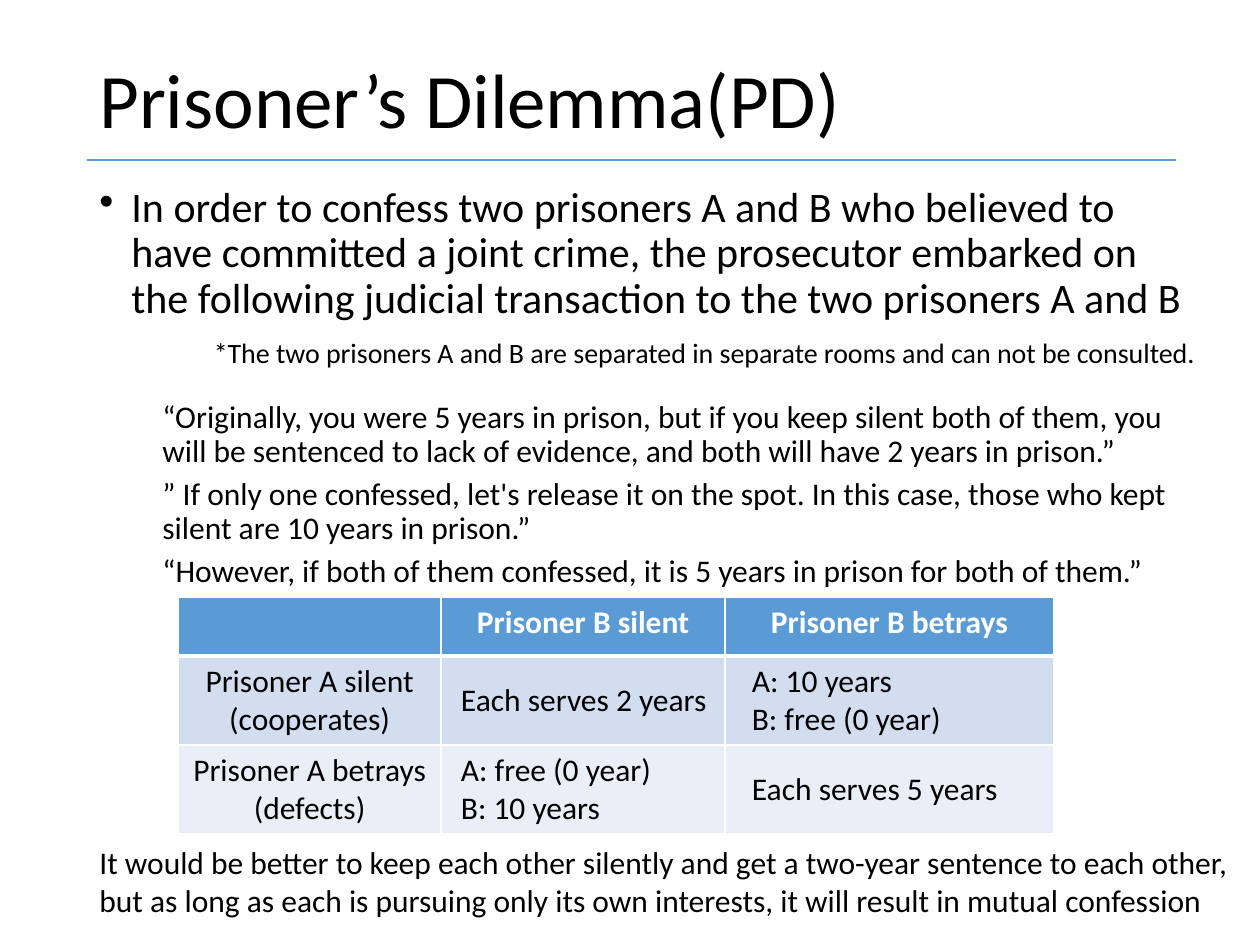
import dataclasses
import typing

import pptx
import pptx.dml.color
import pptx.enum.shapes
import pptx.enum.text
import pptx.oxml
import pptx.oxml.ns
import pptx.util
from lxml import etree

PX = 914400 // 126
ALIGN = pptx.enum.text.PP_ALIGN
ANCHOR = pptx.enum.text.MSO_ANCHOR


@dataclasses.dataclass(frozen=True)
class Theme:
    font: str = "Calibri"
    ink: str = "000000"
    paper: str = "FFFFFF"
    accent: str = "5B9BD5"
    bands: tuple[str, str] = ("D2DEEF", "EAEFF7")
    title: int = 44
    lead: int = 24
    note: int = 16
    text: int = 18


THEME = Theme()


@dataclasses.dataclass(frozen=True)
class Para:
    text: str
    size: int = THEME.text
    color: str = THEME.ink
    bold: bool = False
    align: ALIGN = ALIGN.LEFT
    line: float = 1.0
    before: int = 0
    left: int = 0
    hang: int = 0
    bullet: str = ""


@dataclasses.dataclass(frozen=True)
class Entry:
    lines: tuple[str, ...]
    align: ALIGN = ALIGN.LEFT
    inset: int = 13
    anchor: ANCHOR = ANCHOR.TOP


def px(n: int) -> int:
    return pptx.util.Emu(n * PX)


def rgb(color: str) -> pptx.dml.color.RGBColor:
    return pptx.dml.color.RGBColor.from_string(color)


def write(frame: typing.Any, paras: typing.Iterable[Para]) -> None:
    for i, para in enumerate(paras):
        p = frame.add_paragraph() if i else frame.paragraphs[0]
        p.alignment = para.align
        p.line_spacing = para.line
        p.space_before = pptx.util.Pt(para.before)
        props = p._p.get_or_add_pPr()
        props.set("marL", str(px(para.left)))
        props.set("indent", str(px(-para.hang)))
        if para.bullet:
            bullet = etree.SubElement(props, pptx.oxml.ns.qn("a:buChar"))
            bullet.set("char", para.bullet)
        run = p.add_run()
        run.text = para.text
        run.font.name = THEME.font
        run.font.size = pptx.util.Pt(para.size)
        run.font.bold = para.bold
        run.font.color.rgb = rgb(para.color)


def add_text(slide: typing.Any, box: tuple[int, int, int, int],
             paras: typing.Iterable[Para], anchor: ANCHOR = ANCHOR.TOP) -> None:
    frame = slide.shapes.add_textbox(*map(px, box)).text_frame
    frame.word_wrap = True
    frame.vertical_anchor = anchor
    write(frame, paras)


def add_borders(cell: typing.Any, bottom: int) -> None:
    props = cell._tc.get_or_add_tcPr()
    sides = {"lnL": 1, "lnR": 1, "lnT": 1, "lnB": bottom}
    for i, (side, width) in enumerate(sides.items()):
        props.insert(i, pptx.oxml.parse_xml(
            f'<a:{side} {pptx.oxml.ns.nsdecls("a")} w="{pptx.util.Pt(width)}">'
            f'<a:solidFill><a:srgbClr val="{THEME.paper}"/></a:solidFill></a:{side}>'))


def add_payoffs(slide: typing.Any, left: int, top: int, widths: list[int],
                heights: list[int], entries: list[list[Entry]]) -> None:
    table = slide.shapes.add_table(len(heights), len(widths), px(left), px(top),
                                   px(sum(widths)), px(sum(heights))).table
    for column, width in zip(table.columns, widths):
        column.width = px(width)
    for r, (row, height) in enumerate(zip(entries, heights)):
        table.rows[r].height = px(height)
        for c, entry in enumerate(row):
            cell = table.cell(r, c)
            header = r == 0
            cell.fill.solid()
            cell.fill.fore_color.rgb = rgb(THEME.accent if header else THEME.bands[r - 1])
            add_borders(cell, 3 if header or r == 0 else 1)
            cell.margin_left = px(entry.inset)
            cell.vertical_anchor = entry.anchor
            write(cell.text_frame,
                  [Para(line, color=THEME.paper if header else THEME.ink,
                        bold=header, align=entry.align) for line in entry.lines])


deck = pptx.Presentation()
deck.slide_width, deck.slide_height = px(1260), px(945)
slide = deck.slides.add_slide(deck.slide_layouts[6])
LEFT = 87

# Title and rule
rule = slide.shapes.add_connector(pptx.enum.shapes.MSO_CONNECTOR.STRAIGHT,
                                  px(1176), px(160), px(LEFT), px(160))
rule.line.color.rgb = rgb(THEME.accent)
rule.line.width = pptx.util.Pt(1.5)
etree.SubElement(rule._element.spPr, pptx.oxml.ns.qn("a:effectLst"))
add_text(slide, (LEFT, 50, 1086, 108),
         [Para("Prisoner’s Dilemma(PD)", THEME.title, line=0.9)], ANCHOR.MIDDLE)

# Story and the prosecutor's offers
offers = [
    "“Originally, you were 5 years in prison, but if you keep silent both of them, "
    "you will be sentenced to lack of evidence, and both will have 2 years in prison.”",
    "” If only one confessed, let's release it on the spot. In this case, "
    "those who kept silent are 10 years in prison.”",
    "“However, if both of them confessed, it is 5 years in prison for both of them.”",
]
add_text(slide, (LEFT, 180, 1121, 725), [
    Para("In order to confess two prisoners A and B who believed to have committed "
         "a joint crime, the prosecutor embarked on the following judicial "
         "transaction to the two prisoners A and B",
         THEME.lead, line=0.9, before=10, left=32, hang=32, bullet="•"),
    Para("*The two prisoners A and B are separated in separate rooms "
         "and can not be consulted.",
         THEME.note, align=ALIGN.RIGHT, line=0.9, before=10),
    *(Para(offer, line=0.9, before=5 if i else 18, left=63)
      for i, offer in enumerate(offers)),
])

# Payoff table
add_payoffs(slide, 178, 597, [263, 284, 329], [59, 89, 89], [
    [Entry(("",)),
     Entry(("Prisoner B silent",), ALIGN.CENTER),
     Entry(("Prisoner B betrays",), ALIGN.CENTER)],
    [Entry(("Prisoner A silent", "(cooperates)"), ALIGN.CENTER),
     Entry(("Each serves 2 years",), inset=20, anchor=ANCHOR.MIDDLE),
     Entry(("A: 10 years", "B: free (0 year)"), inset=27)],
    [Entry(("Prisoner A betrays", "(defects)"), ALIGN.CENTER),
     Entry(("A: free (0 year)", "B: 10 years"), inset=20),
     Entry(("Each serves 5 years",), inset=27, anchor=ANCHOR.MIDDLE)],
])

# Conclusion
add_text(slide, (LEFT, 837, 1154, 89), [
    Para("It would be better to keep each other silently and get a two-year sentence "
         "to each other, but as long as each is pursuing only its own interests, "
         "it will result in mutual confession")])

deck.save("out.pptx")
